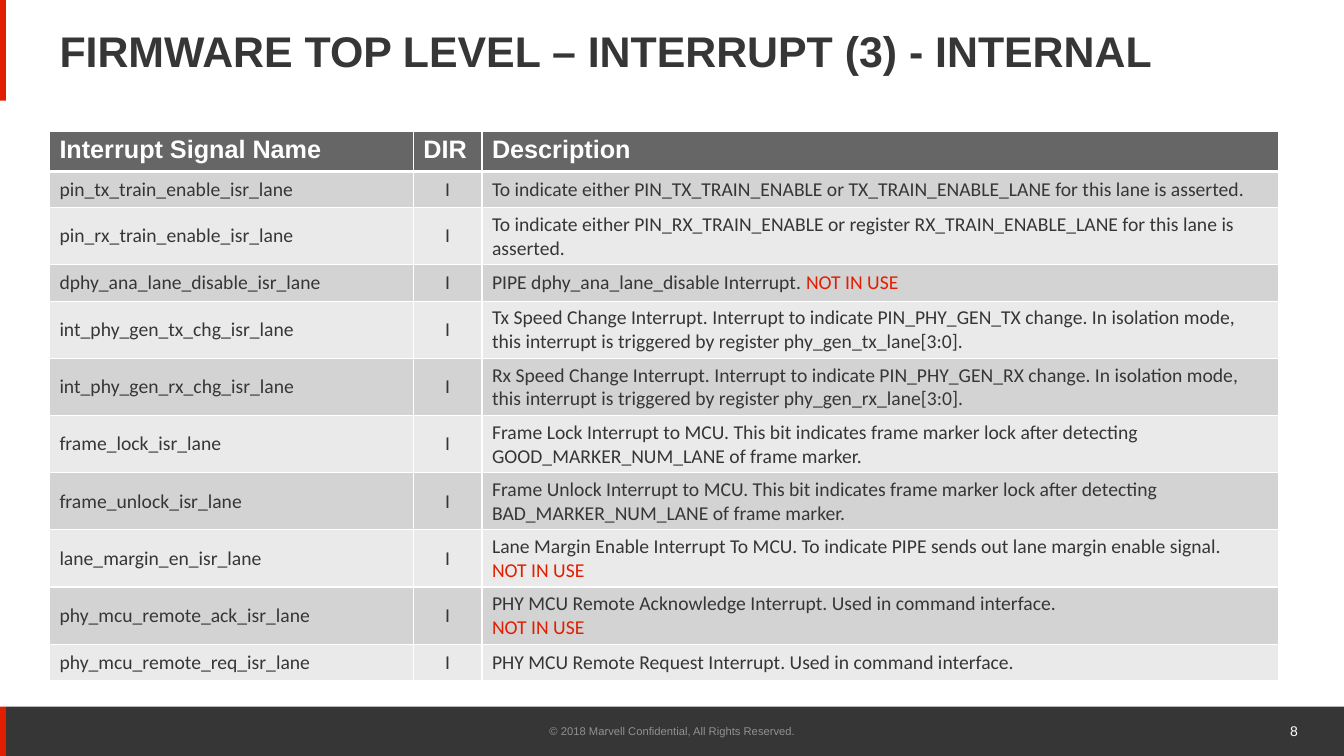
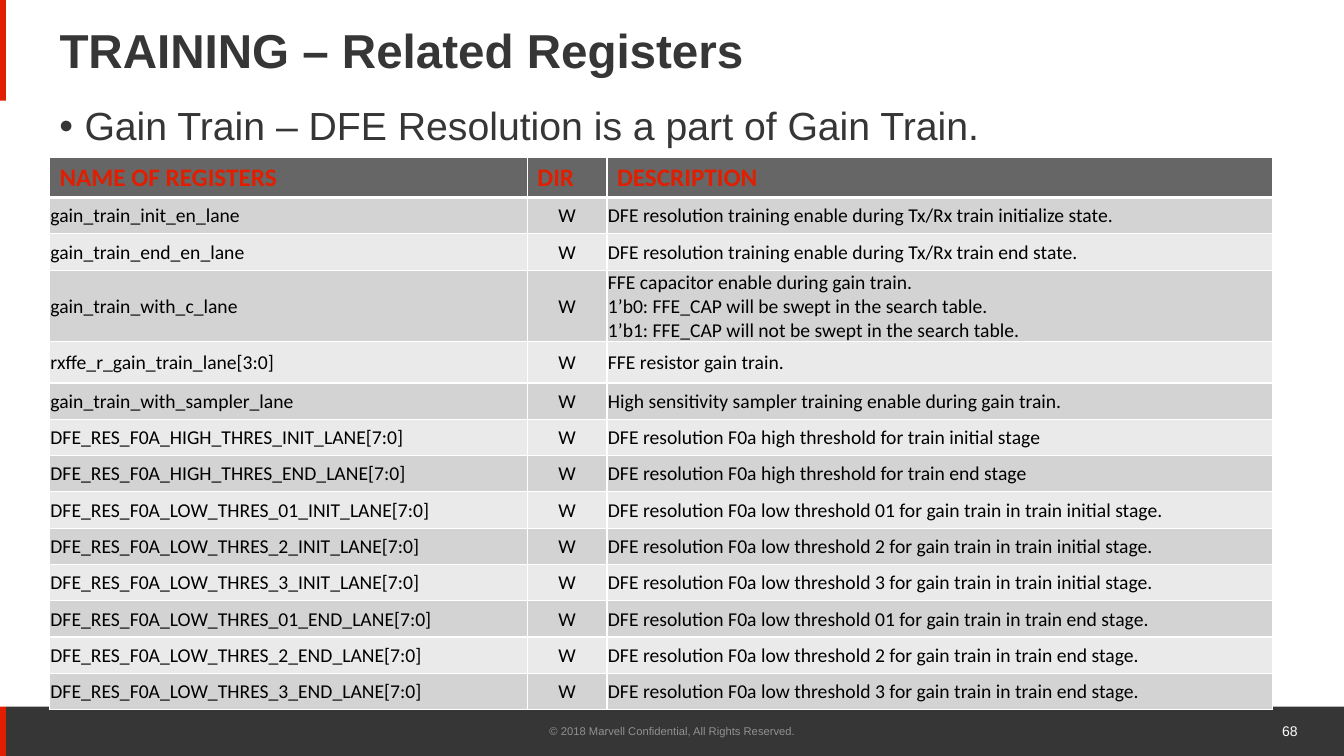
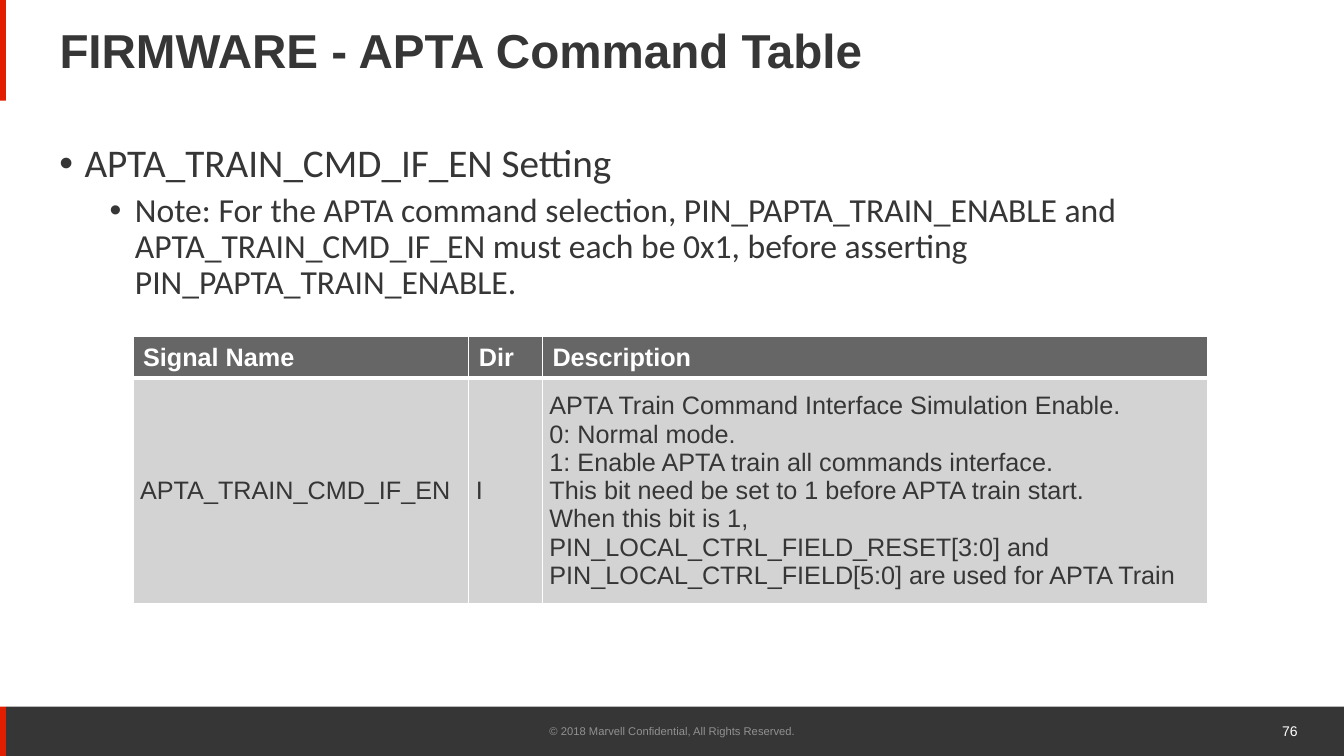
"""Build three firmware reference slides with signal and register tables."""
from lxml.etree import SubElement
from pptx import Presentation
from pptx.dml.color import RGBColor
from pptx.enum.shapes import MSO_SHAPE as Shape
from pptx.enum.text import MSO_ANCHOR as Anchor, MSO_AUTO_SIZE as AutoSize, PP_ALIGN as Align
from pptx.oxml.ns import qn
from pptx.util import Inches, Pt

DARK = RGBColor(0x36, 0x36, 0x36)
RED = RGBColor(0xE1, 0x1E, 0x00)
WHITE = RGBColor(0xFF, 0xFF, 0xFF)
BLACK = RGBColor(0x00, 0x00, 0x00)
MUTED = RGBColor(0x91, 0x91, 0x91)
HEADER_FILL = RGBColor(0x66, 0x66, 0x66)
ROW_FILLS = (RGBColor(0xD3, 0xD3, 0xD3), RGBColor(0xEA, 0xEA, 0xEA))

COPYRIGHT = "© 2018 Marvell Confidential, All Rights Reserved."
ALERT = "NOT IN USE"
TITLE_ONLY = 5
MARGIN = 0.49
BANDS = (
    (0.06, 7.01, 13.27, 0.49, DARK),
    (0, 7.01, 0.06, 0.49, RED),
    (0, 0, 0.06, 1, RED),
)
BULLET_LEVELS = (
    {"indent": 0.25, "size": 28},
    {"indent": 0.75, "size": 24},
)

INTERRUPTS = (
    ("pin_tx_train_enable_isr_lane",
     "To indicate either PIN_TX_TRAIN_ENABLE or TX_TRAIN_ENABLE_LANE for this lane is asserted."),
    ("pin_rx_train_enable_isr_lane",
     "To indicate either PIN_RX_TRAIN_ENABLE or register RX_TRAIN_ENABLE_LANE "
     "for this lane is asserted."),
    ("dphy_ana_lane_disable_isr_lane",
     "PIPE dphy_ana_lane_disable Interrupt. NOT IN USE"),
    ("int_phy_gen_tx_chg_isr_lane",
     "Tx Speed Change Interrupt. Interrupt to indicate PIN_PHY_GEN_TX change. "
     "In isolation mode, this interrupt is triggered by register phy_gen_tx_lane[3:0]."),
    ("int_phy_gen_rx_chg_isr_lane",
     "Rx Speed Change Interrupt. Interrupt to indicate PIN_PHY_GEN_RX change. "
     "In isolation mode, this interrupt is triggered by register phy_gen_rx_lane[3:0]."),
    ("frame_lock_isr_lane",
     "Frame Lock Interrupt to MCU. This bit indicates frame marker lock after detecting "
     "GOOD_MARKER_NUM_LANE of frame marker."),
    ("frame_unlock_isr_lane",
     "Frame Unlock Interrupt to MCU. This bit indicates frame marker lock after detecting "
     "BAD_MARKER_NUM_LANE of frame marker."),
    ("lane_margin_en_isr_lane",
     "Lane Margin Enable Interrupt To MCU. To indicate PIPE sends out lane margin enable signal.\n"
     "NOT IN USE"),
    ("phy_mcu_remote_ack_isr_lane",
     "PHY MCU Remote Acknowledge Interrupt. Used in command interface.\nNOT IN USE"),
    ("phy_mcu_remote_req_isr_lane",
     "PHY MCU Remote Request Interrupt. Used in command interface."),
)

REGISTERS = (
    ("gain_train_init_en_lane",
     "DFE resolution training enable during Tx/Rx train initialize state."),
    ("gain_train_end_en_lane",
     "DFE resolution training enable during Tx/Rx train end state."),
    ("gain_train_with_c_lane",
     "FFE capacitor enable during gain train.\n"
     "1’b0: FFE_CAP will be swept in the search table.\n"
     "1’b1: FFE_CAP will not be swept in the search table."),
    ("rxffe_r_gain_train_lane[3:0]", "FFE resistor gain train."),
    ("gain_train_with_sampler_lane",
     "High sensitivity sampler training enable during gain train."),
    ("DFE_RES_F0A_HIGH_THRES_INIT_LANE[7:0]",
     "DFE resolution F0a high threshold for train initial stage"),
    ("DFE_RES_F0A_HIGH_THRES_END_LANE[7:0]",
     "DFE resolution F0a high threshold for train end stage"),
) + tuple(
    (f"DFE_RES_F0A_LOW_THRES_{number}_{stage}_LANE[7:0]",
     f"DFE resolution F0a low threshold {number} for gain train in train {word} stage.")
    for stage, word in (("INIT", "initial"), ("END", "end"))
    for number in ("01", "2", "3")
)

COMMAND_DESCRIPTION = (
    "APTA Train Command Interface Simulation Enable.\n"
    "0: Normal mode.\n"
    "1: Enable APTA train all commands interface.\n"
    "This bit need be set to 1 before APTA train start.\n"
    "When this bit is 1, PIN_LOCAL_CTRL_FIELD_RESET[3:0] and "
    "PIN_LOCAL_CTRL_FIELD[5:0] are used for APTA Train"
)


def style(size, color, name="Arial", bold=False):
    """Return the format values of a font."""
    return {"size": Pt(size), "name": name, "bold": bold, "color": color}


def add_span(paragraph, text, font):
    """Add a run and apply the font values to it."""
    span = paragraph.add_run()
    span.text = text
    for key, value in font.items():
        if key == "color":
            span.font.color.rgb = value
        else:
            setattr(span.font, key, value)


def place(box, left, top, width, height):
    """Give a shape its position and size in inches."""
    for key, value in zip(("left", "top", "width", "height"), (left, top, width, height)):
        setattr(box, key, Inches(value))


def add_band(page, left, top, width, height, color):
    """Draw a plain filled rectangle."""
    band = page.shapes.add_shape(
        Shape.RECTANGLE, *map(Inches, (left, top, width, height)))
    band.shadow.inherit = False
    band.fill.solid()
    band.fill.fore_color.rgb = color
    band.line.fill.background()


def add_textbox(page, left, top, width, height, anchor=Anchor.TOP):
    """Add a wrapping text box and return its frame."""
    frame = page.shapes.add_textbox(
        *map(Inches, (left, top, width, height))).text_frame
    frame.word_wrap = True
    frame.vertical_anchor = anchor
    return frame


def add_footer(page, left, width, text, align, font):
    """Add one text of the footer band."""
    paragraph = add_textbox(page, left, 7.05, width, 0.4, Anchor.MIDDLE).paragraphs[0]
    paragraph.alignment = align
    add_span(paragraph, text, font)


def add_page(deck, title, number, title_size=34):
    """Add a slide with its title, bands and footer."""
    page = deck.slides.add_slide(deck.slide_layouts[TITLE_ONLY])
    for band in BANDS:
        add_band(page, *band)
    box = page.shapes.title
    place(box, MARGIN, 0.17, 11.5, 0.72)
    frame = box.text_frame
    frame.word_wrap = True
    frame.auto_size = AutoSize.NONE
    frame.vertical_anchor = Anchor.MIDDLE
    paragraph = frame.paragraphs[0]
    paragraph.alignment = Align.LEFT
    paragraph.line_spacing = 0.9
    add_span(paragraph, title, style(title_size, DARK, bold=True))
    add_footer(page, 4.42, 4.5, COPYRIGHT, Align.CENTER, style(8, MUTED))
    add_footer(page, 10.21, 2.76, str(number), Align.RIGHT, style(10, WHITE))
    return page


def add_bullets(page, top, name, texts):
    """Add bulleted paragraphs, each one level below the last."""
    frame = add_textbox(page, MARGIN, top, 11.5, 5.1)
    for level, (text, look) in enumerate(zip(texts, BULLET_LEVELS)):
        paragraph = frame.add_paragraph() if level else frame.paragraphs[0]
        properties = paragraph._p.get_or_add_pPr()
        properties.set("marL", str(Inches(look["indent"])))
        properties.set("indent", str(Inches(-0.25)))
        SubElement(properties, qn("a:buFont"), typeface="Arial")
        SubElement(properties, qn("a:buChar"), char="•")
        paragraph.level = level
        paragraph.line_spacing = 0.9
        if level:
            paragraph.space_before = Pt(5)
        add_span(paragraph, text, style(look["size"], DARK, name))


def set_borders(cell, bottom):
    """Draw white borders round a cell."""
    properties = cell._tc.get_or_add_tcPr()
    for side, width in (("L", 1), ("R", 1), ("T", 1), ("B", bottom)):
        line = SubElement(properties, qn(f"a:ln{side}"), w=str(Pt(width)))
        fill = SubElement(line, qn("a:solidFill"))
        SubElement(fill, qn("a:srgbClr"), val=str(WHITE))


def fill_cell(cell, text, font, fill, anchor, align=Align.LEFT, insets=None, bottom=1):
    """Format a cell and write its lines, with the alert in red."""
    set_borders(cell, bottom)
    cell.fill.solid()
    cell.fill.fore_color.rgb = fill
    cell.vertical_anchor = anchor
    for side, inset in zip(("left", "top", "right", "bottom"), insets or ()):
        setattr(cell, f"margin_{side}", Inches(inset))
    for index, line in enumerate(text.split("\n")):
        frame = cell.text_frame
        paragraph = frame.add_paragraph() if index else frame.paragraphs[0]
        paragraph.alignment = align
        before, alert, after = line.partition(ALERT)
        for part in filter(None, (before, alert, after)):
            add_span(paragraph, part, {**font, "color": RED} if part == ALERT else font)


def add_grid(page, left, top, widths, heights, header, rows, header_font, body_font,
             header_anchor=Anchor.TOP, direction_align=Align.CENTER, insets=None):
    """Add a table with a dark header and banded rows."""
    table = page.shapes.add_table(
        len(heights), len(widths),
        *map(Inches, (left, top, sum(widths), sum(heights)))).table
    table.horz_banding = False
    for column, width in zip(table.columns, widths):
        column.width = Inches(width)
    for row, height in zip(table.rows, heights):
        row.height = Inches(height)
    for cell, text in zip(table.rows[0].cells, header):
        fill_cell(cell, text, header_font, HEADER_FILL, header_anchor, bottom=3)
    aligns = (Align.LEFT, direction_align, Align.LEFT)
    for index, texts in enumerate(rows):
        for cell, text, align in zip(table.rows[index + 1].cells, texts, aligns):
            fill_cell(cell, text, body_font, ROW_FILLS[index % 2], Anchor.MIDDLE, align, insets)


def with_direction(rows, direction):
    """Put the direction between each name and its description."""
    return [(name, direction, description) for name, description in rows]


def main():
    """Build the deck and save it."""
    deck = Presentation()
    deck.slide_width, deck.slide_height = Inches(13.33), Inches(7.5)

    page = add_page(deck, "FIRMWARE TOP LEVEL – INTERRUPT (3) - INTERNAL", 8, 30.6)
    add_grid(page, MARGIN, 1.3, (3.61, 0.68, 7.9), [0.36] * 11,
             ("Interrupt Signal Name", "DIR", "Description"),
             with_direction(INTERRUPTS, "I"),
             style(18, WHITE, bold=True), style(14, DARK, "Calibri"))

    page = add_page(deck, "TRAINING – Related Registers", 68)
    add_bullets(page, 1.01, "Arial", ["Gain Train – DFE Resolution is a part of Gain Train."])
    add_grid(page, MARGIN, 1.56, (4.74, 0.79, 6.6),
             [0.37] + [0.36] * 3 + [0.41] + [0.36] * 9,
             ("NAME OF REGISTERS", "DIR", "DESCRIPTION"),
             with_direction(REGISTERS, "W"),
             style(18, RED, "Calibri", True), style(14, BLACK, "Calibri"),
             insets=(0.01, 0.01, 0.01, 0))

    page = add_page(deck, "FIRMWARE - APTA Command Table", 76)
    add_bullets(page, 1.38, "Calibri", [
        "APTA_TRAIN_CMD_IF_EN Setting",
        "Note: For the APTA command selection, PIN_PAPTA_TRAIN_ENABLE and "
        "APTA_TRAIN_CMD_IF_EN must each be 0x1, before asserting PIN_PAPTA_TRAIN_ENABLE.",
    ])
    add_grid(page, 1.32, 3.34, (3.33, 0.73, 6.6), [0.41] * 2,
             ("Signal Name", "Dir", "Description"),
             with_direction([("APTA_TRAIN_CMD_IF_EN", COMMAND_DESCRIPTION)], "I"),
             style(18, WHITE, bold=True), style(18, DARK),
             Anchor.MIDDLE, Align.LEFT, (0.07,) * 4)

    deck.save("out.pptx")


if __name__ == "__main__":
    main()
